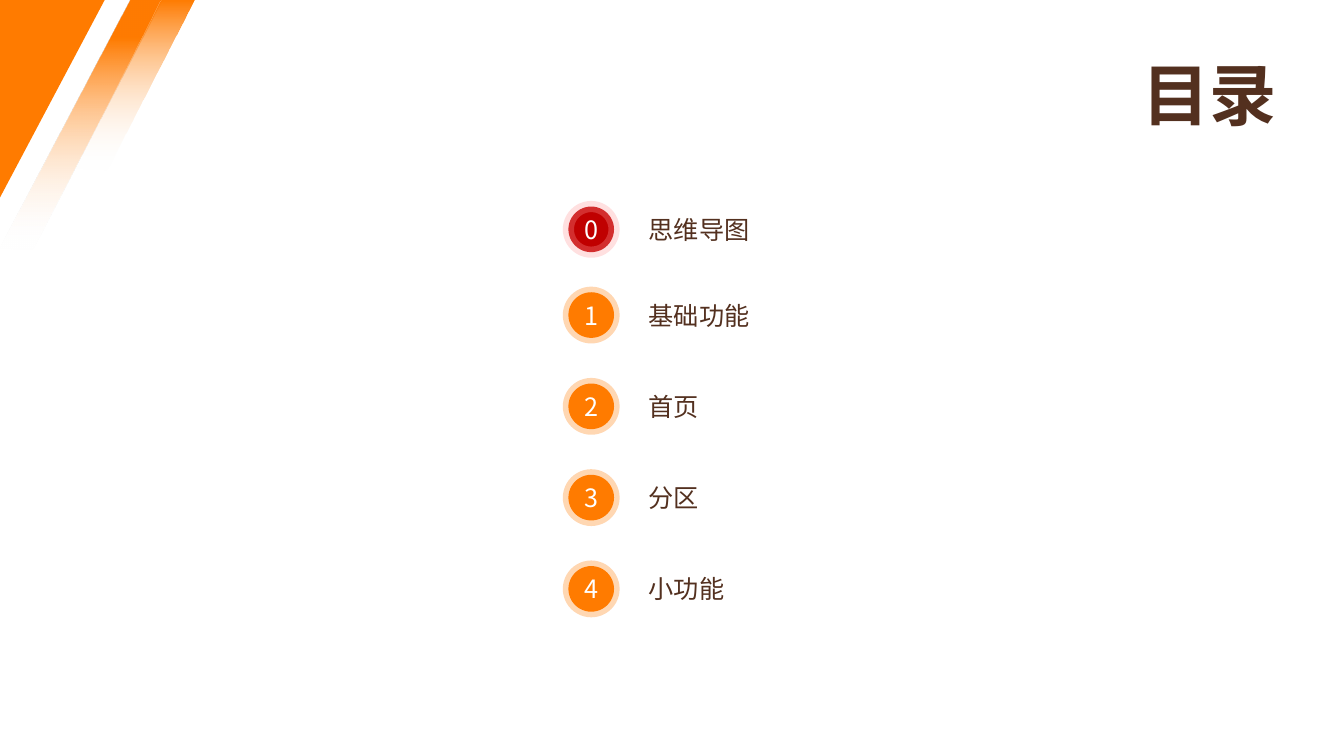
from lxml import etree
from pptx import Presentation
from pptx.dml.color import RGBColor
from pptx.enum.shapes import MSO_SHAPE
from pptx.enum.text import MSO_ANCHOR, PP_ALIGN
from pptx.oxml.ns import qn
from pptx.util import Cm, Pt

ORANGE = RGBColor(0xFF, 0x7B, 0x00)
RED = RGBColor(0xC0, 0x00, 0x00)
PINK = RGBColor(0xFF, 0x99, 0x99)
BROWN = RGBColor(0x53, 0x30, 0x1F)
WHITE = RGBColor(0xFF, 0xFF, 0xFF)
FONT = "Noto Sans CJK SC"
OVAL, TRIANGLE = MSO_SHAPE.OVAL, MSO_SHAPE.RIGHT_TRIANGLE
LEFT, CENTER = PP_ALIGN.LEFT, PP_ALIGN.CENTER
TOP, MIDDLE = MSO_ANCHOR.TOP, MSO_ANCHOR.MIDDLE


def write(tf, text, size=18, color=BROWN, bold=False, align=LEFT, anchor=MIDDLE):
    tf.vertical_anchor = anchor
    p = tf.paragraphs[0]
    p.alignment = align
    r = p.add_run()
    r.text = text
    r.font.size = Pt(size)
    r.font.bold = bold
    r.font.color.rgb = color
    r.font.name = FONT
    etree.SubElement(r.font._element, qn("a:ea")).set("typeface", FONT)


def set_alpha(parent, percent):
    for color in parent.iter(qn("a:srgbClr")):
        etree.SubElement(color, qn("a:alpha")).set("val", str(percent * 1000))


class ContentsSlide:
    circle_size = 1.15
    circle_x = 14.9
    label_x, label_w, label_h = 16.1, 15.8, 1.78

    def __init__(self, prs):
        self.shapes = prs.slides.add_slide(prs.slide_layouts[6]).shapes

    def fading_stripe(self, points, solid_until=0):
        start, *rest = [(Cm(x), Cm(y)) for x, y in points]
        builder = self.shapes.build_freeform(*start)
        builder.add_line_segments(rest)
        sp = builder.convert_to_shape()
        sp.shadow.inherit = False
        sp.line.fill.background()
        sp.fill.gradient()
        sp.fill.gradient_angle = 270
        first, last = sp.fill.gradient_stops
        first.position, last.position = solid_until, 1
        first.color.rgb, last.color.rgb = ORANGE, WHITE
        set_alpha(sp.element.spPr.findall(".//" + qn("a:gs"))[-1], 0)

    def shape(self, kind, x, y, w, h, fill):
        sp = self.shapes.add_shape(kind, Cm(x), Cm(y), Cm(w), Cm(h))
        sp.shadow.inherit = False
        sp.fill.solid()
        sp.fill.fore_color.rgb = fill
        sp.line.fill.background()
        return sp

    def corner(self, w, h):
        sp = self.shape(TRIANGLE, 0, 0, w, h, ORANGE)
        sp.element.spPr.xfrm.set("flipV", "1")

    def text(self, text, x, y, w, h, **style):
        tf = self.shapes.add_textbox(Cm(x), Cm(y), Cm(w), Cm(h)).text_frame
        tf.word_wrap = True
        write(tf, text, **style)

    def entry(self, number, label, middle, fill=ORANGE, ring=ORANGE):
        size = self.circle_size
        sp = self.shape(OVAL, self.circle_x - size / 2, middle - size / 2, size, size, fill)
        sp.line.color.rgb = ring
        sp.line.width = Pt(8)
        set_alpha(sp.line._ln, 30)
        tf = sp.text_frame
        tf.word_wrap = False
        tf.margin_left = tf.margin_right = tf.margin_top = tf.margin_bottom = 0
        write(tf, str(number), color=WHITE, align=CENTER)
        self.text(label, self.label_x, middle - self.label_h / 2, self.label_w, self.label_h)


def main():
    prs = Presentation()
    prs.slide_width, prs.slide_height = Cm(33.87), Cm(19.05)
    s = ContentsSlide(prs)
    s.fading_stripe([(0.84, 6.3), (0, 6.27), (3.28, 0), (4.09, 0)], solid_until=0.15)
    s.corner(2.64, 4.98)
    s.fading_stripe([(4.06, 0), (4.9, 0), (2.69, 4.29), (1.9, 4.24)])
    s.text("目录", 28.27, 1.22, 4.42, 2.77, size=48, bold=True, align=CENTER, anchor=TOP)
    s.entry(0, "思维导图", 5.78, fill=RED, ring=PINK)
    for i, label in enumerate(["基础功能", "首页", "分区", "小功能"]):
        s.entry(i + 1, label, 7.94 + 2.3 * i)
    prs.save("out.pptx")


if __name__ == "__main__":
    main()
